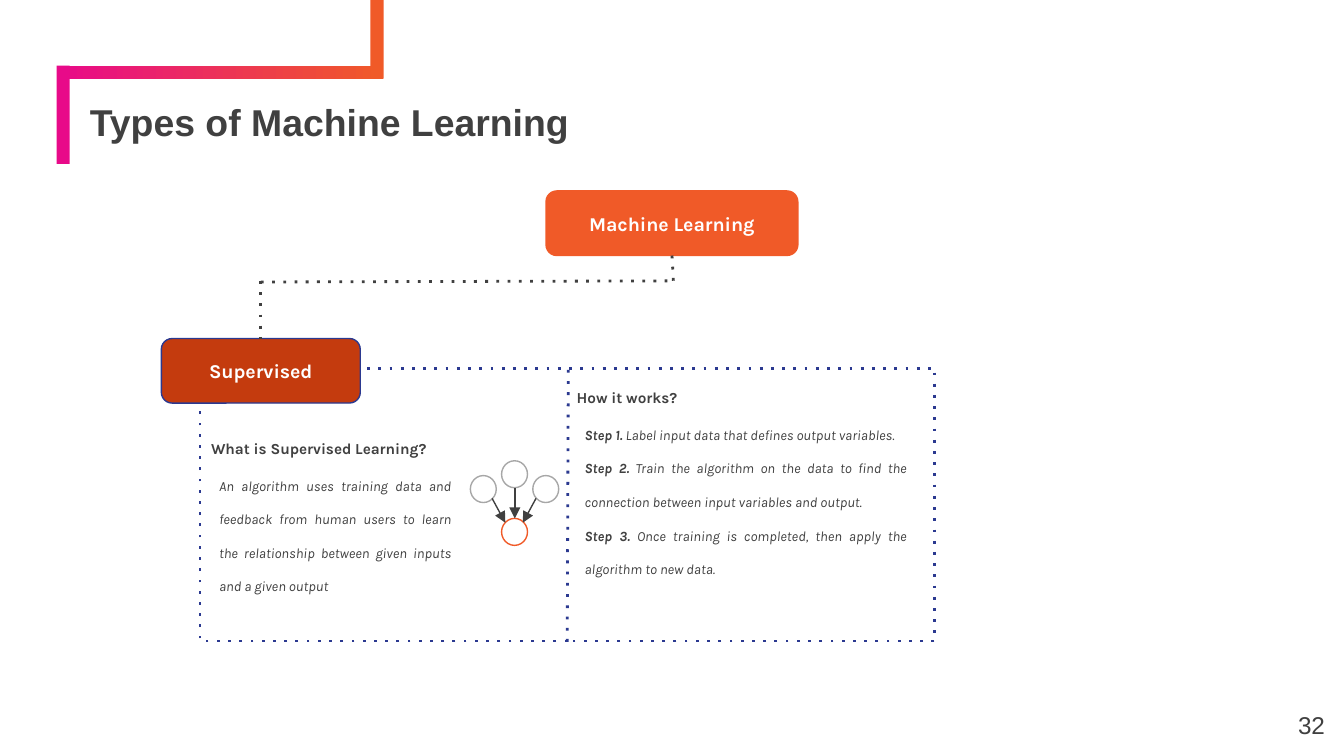
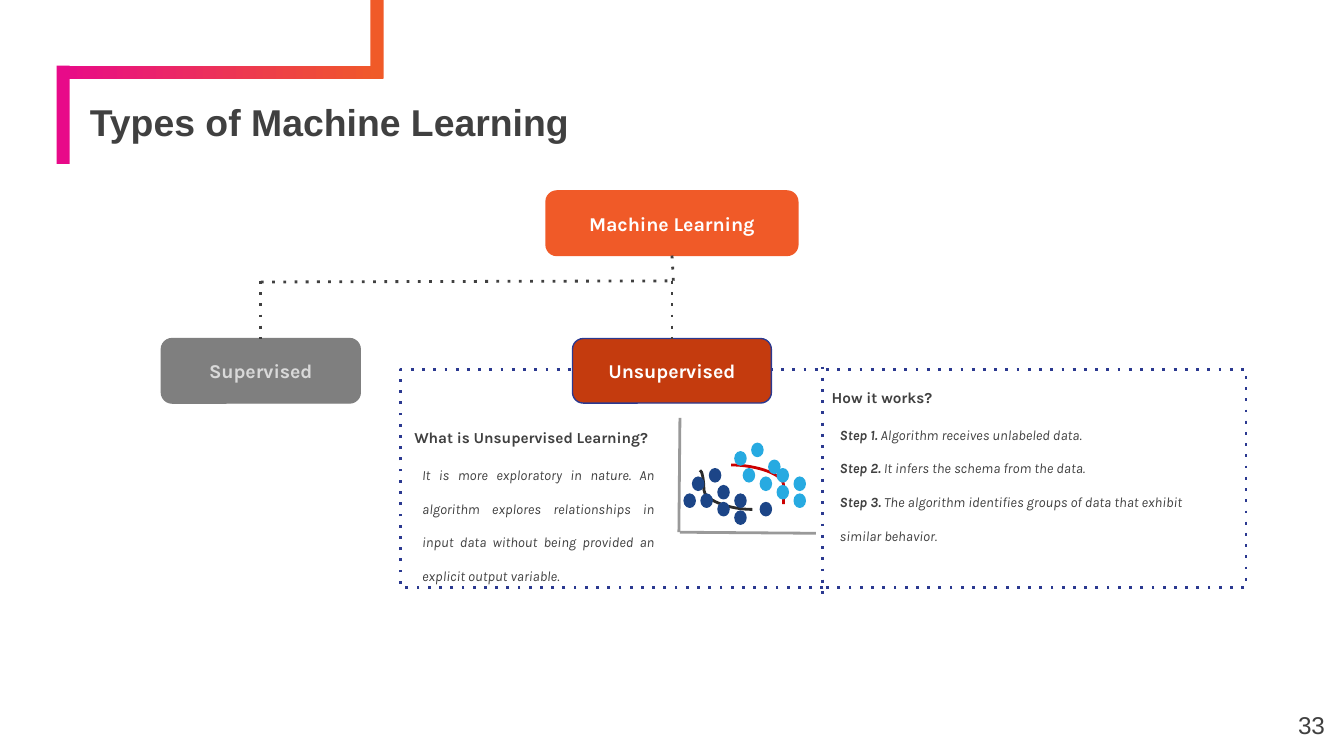
from lxml import etree
from pptx import Presentation
from pptx.dml.color import RGBColor
from pptx.enum.shapes import MSO_CONNECTOR, MSO_SHAPE
from pptx.enum.text import MSO_ANCHOR, PP_ALIGN
from pptx.oxml.ns import qn
from pptx.util import Cm, Pt

RECT, ROUND, OVAL = MSO_SHAPE.RECTANGLE, MSO_SHAPE.ROUNDED_RECTANGLE, MSO_SHAPE.OVAL
STRAIGHT, CURVE = MSO_CONNECTOR.STRAIGHT, MSO_CONNECTOR.CURVE
LEFT, CENTER, RIGHT, JUST = PP_ALIGN.LEFT, PP_ALIGN.CENTER, PP_ALIGN.RIGHT, PP_ALIGN.JUSTIFY
TOP, MIDDLE = MSO_ANCHOR.TOP, MSO_ANCHOR.MIDDLE

WHITE = RGBColor(0xFF, 0xFF, 0xFF)
INK = RGBColor(0x40, 0x40, 0x40)
ORANGE = RGBColor(0xF0, 0x5A, 0x28)
PINK = RGBColor(0xE8, 0x0A, 0x89)
RUST = RGBColor(0xC4, 0x3B, 0x0E)
BLUE = RGBColor(0x2B, 0x39, 0x90)
NAVY = RGBColor(0x1C, 0x45, 0x87)
SKY = RGBColor(0x27, 0xAA, 0xE1)
RED = RGBColor(0xCC, 0x00, 0x00)
BLACK = RGBColor(0x2B, 0x2B, 0x2B)
GRAY = RGBColor(0x7F, 0x7F, 0x7F)
MID = RGBColor(0x99, 0x99, 0x99)
SILVER = RGBColor(0xA7, 0xA7, 0xA7)
PALE = RGBColor(0xD9, 0xD9, 0xD9)

NAVY_DOTS = [(3, 3), (4, 5), (1, 4), (0, 6), (2, 6), (4, 7), (6, 6), (6, 8), (9, 7)]
SKY_DOTS = [(6, 1), (7, 3), (9, 4), (11, 5), (11, 3), (8, 0), (10, 2), (13, 6), (13, 4)]


def write(frame, paras, size=7.5, font="Karla", color=INK, bold=False, italic=False,
          align=LEFT, last=None, space=1.0, inset=0.18, anchor=TOP):
    """Fill a frame; each paragraph is a tuple of runs, only its first can be bold."""
    frame.word_wrap = True
    frame.vertical_anchor = anchor
    frame.margin_left = frame.margin_right = Cm(inset)
    frame.margin_top = frame.margin_bottom = Cm(inset)
    for i, parts in enumerate(paras):
        para = frame.paragraphs[0] if i == 0 else frame.add_paragraph()
        para.alignment = align
        para.line_spacing = space
        for j, part in enumerate(parts):
            run = para.add_run()
            run.text = part
            run.font.size, run.font.name = Pt(size), font
            run.font.bold, run.font.italic = bold and j == 0, italic
            run.font.color.rgb = color
    if last is not None:
        para.alignment = last


def label(shapes, box, paras, **fmt):
    """Add a text box."""
    write(shapes.add_textbox(*map(Cm, box)).text_frame, paras, **fmt)


def stroke(line, color, width, dotted=False, arrow=False):
    """Style an outline or a connector line."""
    line.color.rgb = color
    line.width = Pt(width)
    ends = line.color and line._get_or_add_ln()
    if dotted:
        etree.SubElement(ends, qn("a:prstDash"), val="dot")
    if arrow:
        etree.SubElement(ends, qn("a:tailEnd"), type="triangle")


def draw(shapes, kind, box, fill=None, edge=None, width=0.75, dotted=False):
    """Add a preset shape with optional fill and outline."""
    shape = shapes.add_shape(kind, *map(Cm, box))
    shape.shadow.inherit = False
    if fill is None:
        shape.fill.background()
    else:
        shape.fill.solid()
        shape.fill.fore_color.rgb = fill
    if edge is None:
        shape.line.fill.background()
    else:
        stroke(shape.line, edge, width, dotted)
    return shape


def link(shapes, start, end, color, width=1.5, bend=None, **style):
    """Add a straight line, or a curved one when a bend is given."""
    kind = STRAIGHT if bend is None else CURVE
    line = shapes.add_connector(kind, *map(Cm, start + end))
    etree.SubElement(line._element.spPr, qn("a:effectLst"))
    stroke(line.line, color, width, **style)
    if bend is not None:
        guides = line._element.find(".//" + qn("a:avLst"))
        etree.SubElement(guides, qn("a:gd"), name="adj1", fmla=f"val {bend}")
    return line


def node(shapes, box, name, fill, edge, color=WHITE):
    """Add a rounded box of the tree."""
    shape = draw(shapes, ROUND, box, fill, edge)
    write(shape.text_frame, [(name,)], size=10.5, color=color, bold=True,
          align=CENTER, anchor=MIDDLE)
    return shape


def child(shapes, x, name, fill, edge, color=WHITE):
    """Add a second-level box and its drop line."""
    box = node(shapes, (x, 6.4, 3.76, 1.22), name, fill, edge, color)
    mid = x + 1.88
    drop = link(shapes, (mid, 5.31), (mid, 6.4), INK, dotted=True)
    drop.end_connect(box, 0)


def panel(shapes, x, y, wide, body, head, paras, **fmt):
    """Add a heading and the indented text below it."""
    label(shapes, (x, y, wide, 0.91), [(head,)], size=8.2, bold=True, align=JUST, space=1.5)
    label(shapes, (x + 0.15, y + 0.57, *body), paras, italic=True, align=JUST, space=2.0, **fmt)


def base(deck, page, frame):
    """Add a slide with the corner band, frame, title, tree root and page number."""
    shapes = deck.slides.add_slide(deck.slide_layouts[6]).shapes
    rail = draw(shapes, RECT, (1.07, 1.24, 6.17, 0.25), PINK)
    rail.fill.gradient()
    rail.fill.gradient_angle = 0
    for stop, color in zip(rail.fill.gradient_stops, (PINK, ORANGE)):
        stop.color.rgb = color
    draw(shapes, RECT, (1.07, 1.24, 0.25, 1.86), PINK)
    draw(shapes, RECT, (7, 0, 0.25, 1.49), ORANGE)
    draw(shapes, RECT, frame, edge=BLUE, width=1.5, dotted=True)
    label(shapes, (1.7, 1.98, 22.94, 0.86), [("Types of Machine Learning",)],
          size=20, font="Arial", bold=True, space=0.9, inset=0)
    root = node(shapes, (10.32, 3.61, 4.76, 1.22), "Machine Learning", ORANGE, ORANGE)
    link(shapes, (4.93, 5.33), (12.75, 5.31), INK, dotted=True)
    stem = link(shapes, (12.7, 4.83), (12.73, 5.38), INK, dotted=True)
    stem.begin_connect(root, 2)
    label(shapes, (23.77, 13.18, 1.52, 1.09), [(page,)], size=13, font="Arial",
          align=RIGHT, inset=0.25)
    return shapes


def neurons(shapes):
    """Draw three inputs that feed one output."""
    group = shapes.add_group_shape().shapes
    spots = [(8.89, 8.99, SILVER), (9.48, 8.71, SILVER), (10.07, 8.99, SILVER), (9.48, 9.8, ORANGE)]
    for x, y, color in spots:
        draw(group, OVAL, (x, y, 0.49, 0.51), edge=color)
    for start, end in [((10.13, 9.42), (9.88, 9.88)), ((9.3, 9.42), (9.55, 9.88)),
                       ((9.73, 9.22), (9.73, 9.8))]:
        link(group, start, end, INK, 0.75, arrow=True)


def scatter(shapes):
    """Draw two clusters of dots with their axes and curves."""
    link(shapes, (12.85, 7.9), (12.83, 10.06), MID)
    link(shapes, (15.42, 10.08), (12.85, 10.06), MID)
    link(shapes, (13.23, 8.89), (14.22, 9.63), BLACK, bend=7500)
    link(shapes, (13.82, 8.79), (14.81, 9.53), RED, bend=100000)
    for color, dots in ((NAVY, NAVY_DOTS), (SKY, SKY_DOTS)):
        for col, row in dots:
            draw(shapes, OVAL, (12.93 + 0.16 * col, 8.38 + 0.16 * row, 0.21, 0.25), color, color)


def guided(deck):
    """Build the supervised slide."""
    shapes = base(deck, "32", (3.78, 6.96, 13.89, 5.16))
    child(shapes, 3.05, "Supervised", RUST, BLUE)
    link(shapes, (10.74, 6.99), (10.72, 12.14), BLUE, dotted=True)
    neurons(shapes)
    panel(shapes, 3.81, 7.95, 4.57, (4.75, 2.95), "What is Supervised Learning?", [
        ("An algorithm uses training data and feedback from human users to learn "
         "the relationship between given inputs and a given output",)])
    panel(shapes, 10.72, 6.99, 5.41, (6.45, 4.88), "How it works?", [
        ("Step 1.", " Label input data that defines output variables."),
        ("Step 2.", " Train the algorithm on the data to find the connection "
                    "between input variables and output."),
        ("Step 3.", " Once training is completed, then apply the algorithm to new data."),
    ], bold=True)


def free(deck):
    """Build the unsupervised slide."""
    shapes = base(deck, "33", (7.57, 6.99, 15.98, 4.11))
    child(shapes, 3.05, "Supervised", GRAY, GRAY, PALE)
    child(shapes, 10.82, "Unsupervised", RUST, BLUE)
    scatter(shapes)
    link(shapes, (15.54, 6.93), (15.54, 11.23), BLUE, dotted=True)
    panel(shapes, 7.65, 7.75, 5.23, (4.75, 2.95), "What is Unsupervised Learning?", [
        ("It is more exploratory in nature. An algorithm explores relationships in "
         "input data without being provided an explicit output variable.",)])
    panel(shapes, 15.54, 6.99, 5.79, (7.67, 2.95), "How it works?", [
        ("Step 1.", " Algorithm receives unlabeled data."),
        ("Step 2.", " It infers the schema from the data."),
        ("Step 3.", " The algorithm identifies groups of data that exhibit similar behavior."),
    ], bold=True, last=LEFT)


def main():
    """Build and save the deck."""
    deck = Presentation()
    deck.slide_width, deck.slide_height = Cm(25.4), Cm(14.29)
    guided(deck)
    free(deck)
    deck.save("out.pptx")


if __name__ == "__main__":
    main()
